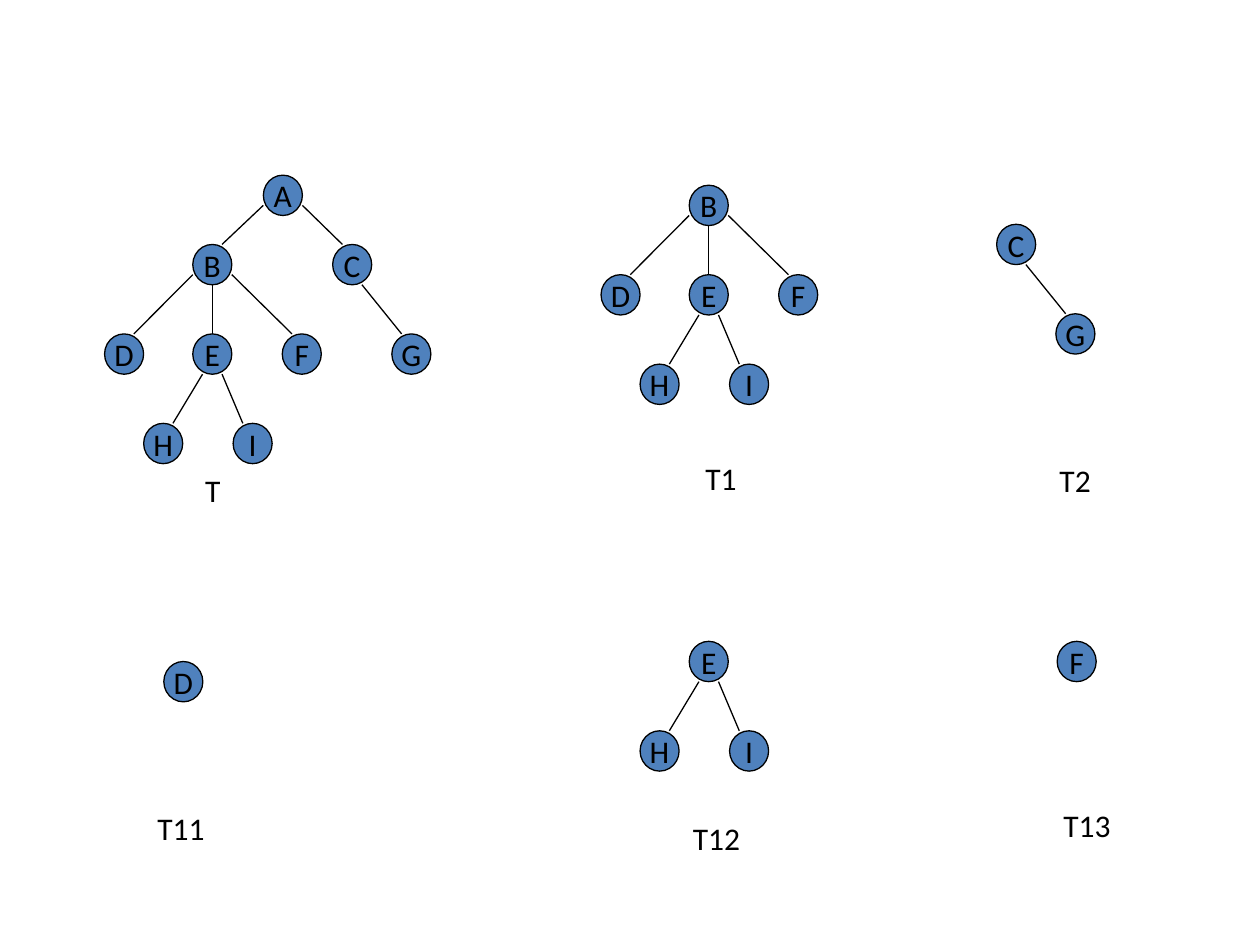
from pptx import Presentation
from pptx.dml.color import RGBColor
from pptx.enum import shapes, text
from pptx.oxml.ns import qn
from pptx.util import Inches, Pt

BLUE = RGBColor(0x4F, 0x81, 0xBD)
BLACK = RGBColor(0, 0, 0)
WIDE, HIGH = 0.31, 0.32

# Full tree: left and top of each node, and its children
SPOTS = {
    "A": (2.09, 1.39),
    "B": (1.53, 1.94), "C": (2.64, 1.94),
    "D": (0.83, 2.65), "E": (1.53, 2.65), "F": (2.24, 2.65), "G": (3.11, 2.65),
    "H": (1.14, 3.36), "I": (1.85, 3.36),
}
KIDS = {"A": "BC", "B": "DEF", "C": "G", "E": "HI"}

# Label, its box (left, top, width), root, left and top of the root
TREES = [
    ("T", (1.53, 3.69, 0.34), "A", (2.09, 1.39)),
    ("T1", (5.5, 3.59, 0.48), "B", (5.47, 1.47)),
    ("T2", (8.31, 3.61, 0.48), "C", (7.91, 1.78)),
    ("T11", (1.15, 6.37, 0.62), "D", (1.3, 5.25)),
    ("T12", (5.4, 6.45, 0.62), "E", (5.47, 5.09)),
    ("T13", (8.34, 6.35, 0.62), "F", (8.39, 5.09)),
]


def write(shape, words):
    frame = shape.text_frame
    frame.text = words
    frame.word_wrap = False
    font = frame.paragraphs[0].runs[0].font
    font.name, font.size = "Calibri", Pt(18)
    font.color.rgb = BLACK
    return frame


def add_node(group, name, x, y):
    node = group.shapes.add_shape(shapes.MSO_SHAPE.OVAL, Inches(x), Inches(y),
                                  Inches(WIDE), Inches(HIGH))
    node.shadow.inherit = False
    node.fill.solid()
    node.fill.fore_color.rgb = BLUE
    node.line.color.rgb = BLACK
    node.line.width = Pt(0.75)
    frame = write(node, name)
    frame.vertical_anchor = text.MSO_ANCHOR.MIDDLE
    frame.paragraphs[0].alignment = text.PP_ALIGN.CENTER


def add_edge(group, x, y, kid_x, kid_y):
    # Far children leave from the parent's side, near ones from its foot
    gap = kid_x - x
    side = (gap > 0.01) - (gap < -0.01)
    far = abs(gap) > 0.5
    start = (x + WIDE * (0.5 + side * (0.5 if far else 0.25)),
             y + HIGH * (0.75 if far else 1))
    end = (kid_x + WIDE * (0.5 - side * 0.25), kid_y)
    edge = group.shapes.add_connector(shapes.MSO_CONNECTOR.STRAIGHT,
                                      *map(Inches, start + end))
    edge.line.color.rgb = BLACK
    edge.line.width = Pt(0.75)
    props = edge._element.spPr
    props.append(props.makeelement(qn("a:effectLst"), {}))


def add_tree(group, name, dx, dy):
    x, y = SPOTS[name][0] + dx, SPOTS[name][1] + dy
    add_node(group, name, x, y)
    for kid in KIDS.get(name, ""):
        add_edge(group, x, y, SPOTS[kid][0] + dx, SPOTS[kid][1] + dy)
        add_tree(group, kid, dx, dy)


def main():
    deck = Presentation()
    deck.slide_width, deck.slide_height = Inches(10), Inches(7.5)
    slide = deck.slides.add_slide(deck.slide_layouts[6])

    # Each subtree is the full tree's branch, shifted to its root's place
    for label, (left, top, width), root, (x, y) in TREES:
        group = slide.shapes.add_group_shape()
        add_tree(group, root, x - SPOTS[root][0], y - SPOTS[root][1])
        box = group.shapes.add_textbox(Inches(left), Inches(top),
                                       Inches(width), Inches(0.4))
        write(box, label).auto_size = text.MSO_AUTO_SIZE.SHAPE_TO_FIT_TEXT

    deck.save("out.pptx")


if __name__ == "__main__":
    main()
